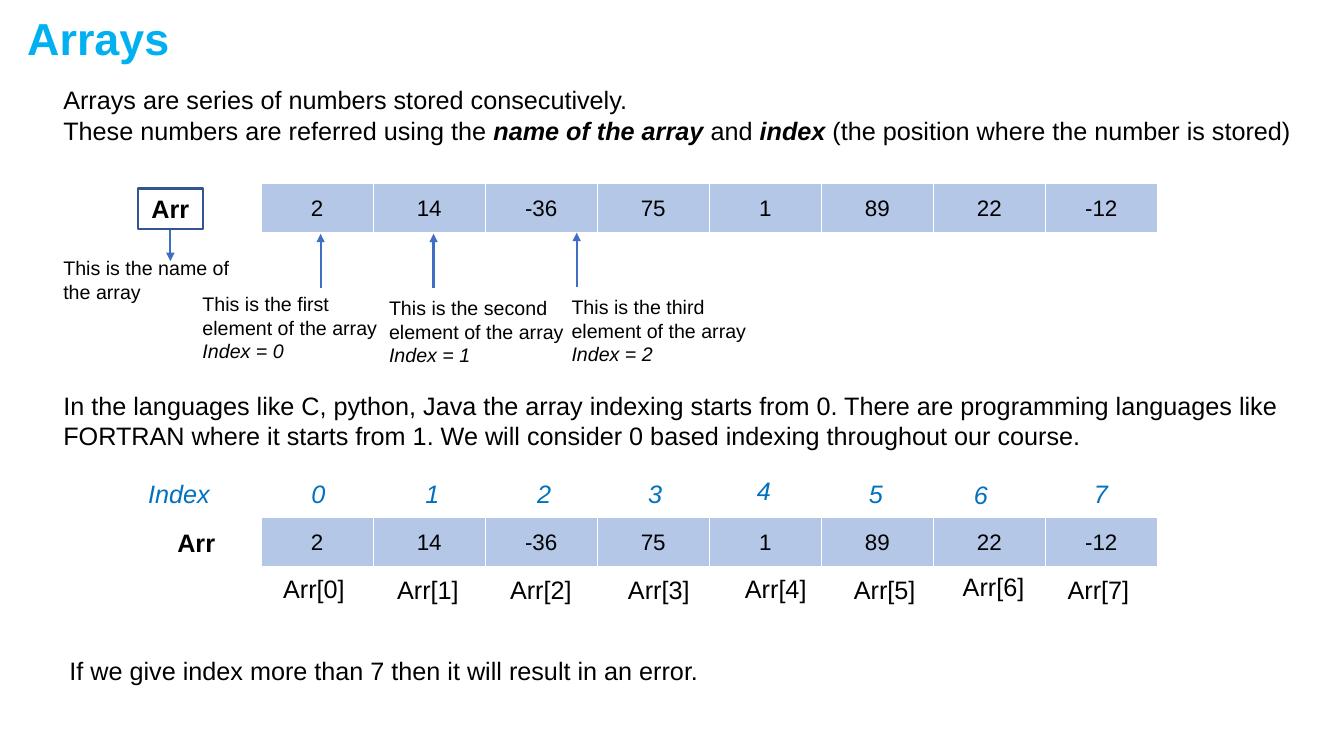
from dataclasses import dataclass

from lxml import etree
from pptx import Presentation
from pptx.dml.color import RGBColor
from pptx.enum.shapes import MSO_CONNECTOR, MSO_SHAPE
from pptx.enum.text import MSO_ANCHOR, PP_ALIGN
from pptx.oxml.ns import qn
from pptx.util import Inches, Pt

LEFT, CENTER = PP_ALIGN.LEFT, PP_ALIGN.CENTER
TOP, MIDDLE = MSO_ANCHOR.TOP, MSO_ANCHOR.MIDDLE
RECT, STRAIGHT = MSO_SHAPE.RECTANGLE, MSO_CONNECTOR.STRAIGHT
TITLE_ONLY = 5


@dataclass(frozen=True)
class Theme:
    font: str = "Arial"
    text: str = "000000"
    title: str = "00B0F0"
    index: str = "0070C0"
    cell: str = "B4C7E7"
    border: str = "FFFFFF"
    box: str = "325491"
    arrow: str = "3F6FC3"
    title_size: int = 32
    body_size: int = 18
    cell_size: int = 16
    note_size: int = 14
    line_width: float = 1.5


THEME = Theme()

# A paragraph is a list of (text, style) runs; style may hold "b" and "i".
TITLE = [[("Arrays", "b")]]
INTRO = [
    [("Arrays are series of numbers stored consecutively.", "")],
    [("These numbers are referred using the ", ""), ("name of the array ", "bi"),
     ("and ", ""), ("index ", "bi"),
     ("(the position where the number is stored)", "")],
]
INDEXING = [[("In the languages like C, python, Java the array indexing starts from 0. "
              "There are programming languages like FORTRAN where it starts from 1. "
              "We will consider 0 based indexing throughout our course.", "")]]
ERROR = [[("If we give index more than 7 then it will result in an error.", "")]]
NAME = [[("Arr", "b")]]
NAME_NOTE = [[("This is the name of the array", "")]]
INDEX_LABEL = [[("Index", "i")]]

VALUES = [2, 14, -36, 75, 1, 89, 22, -12]
TABLE_LEFT, TABLE_WIDTH, TABLE_HEIGHT = 2.59, 8.89, 0.5
TABLE_TOPS = [1.82, 5.13]

# (ordinal, note left, note top, arrow x, arrow start y)
ELEMENTS = [
    ("first", 1.91, 2.85, 3.18, 2.86),
    ("second", 3.76, 2.89, 4.30, 2.86),
    ("third", 5.57, 2.88, 5.72, 2.85),
]
ARROW_LENGTH = 0.54

# (left, top) of the labels above and below each cell
INDEX_SPOTS = [(2.99, 4.7), (4.12, 4.7), (5.23, 4.7), (6.33, 4.7),
               (7.41, 4.67), (8.52, 4.7), (9.56, 4.71), (10.75, 4.7)]
ACCESS_SPOTS = [(2.71, 5.64), (3.84, 5.65), (4.96, 5.65), (6.13, 5.65),
                (7.29, 5.64), (8.37, 5.65), (9.45, 5.62), (10.49, 5.65)]


def write(tf, paragraphs, size=THEME.body_size, color=THEME.text, align=LEFT, anchor=TOP):
    tf.word_wrap = True
    tf.vertical_anchor = anchor
    for n, runs in enumerate(paragraphs):
        p = tf.add_paragraph() if n else tf.paragraphs[0]
        p.alignment = align
        for text, style in runs:
            r = p.add_run()
            r.text = text
            r.font.name = THEME.font
            r.font.size = Pt(size)
            r.font.color.rgb = RGBColor.from_string(color)
            r.font.bold = "b" in style
            r.font.italic = "i" in style


def add_text(s, paragraphs, left, top, width, height=0.4, **fmt):
    sp = s.shapes.add_textbox(Inches(left), Inches(top), Inches(width), Inches(height))
    write(sp.text_frame, paragraphs, **fmt)


def add_arrow(s, x, y1, y2):
    c = s.shapes.add_connector(STRAIGHT, Inches(x), Inches(y1), Inches(x), Inches(y2))
    c.line.color.rgb = RGBColor.from_string(THEME.arrow)
    c.line.width = Pt(THEME.line_width)
    etree.SubElement(c.line._get_or_add_ln(), qn("a:tailEnd"), type="triangle")
    etree.SubElement(c._element.spPr, qn("a:effectLst"))


def add_borders(cell):
    tc_pr = cell._tc.get_or_add_tcPr()
    for side, width in (("L", 1), ("R", 1), ("T", 1), ("B", 3)):
        ln = etree.SubElement(tc_pr, qn(f"a:ln{side}"), w=str(Pt(width)))
        fill = etree.SubElement(ln, qn("a:solidFill"))
        etree.SubElement(fill, qn("a:srgbClr"), val=THEME.border)


def add_array(s, top):
    table = s.shapes.add_table(1, len(VALUES), Inches(TABLE_LEFT), Inches(top),
                               Inches(TABLE_WIDTH), Inches(TABLE_HEIGHT)).table
    table.first_row = table.horz_banding = False
    for cell, value in zip(table.iter_cells(), VALUES):
        add_borders(cell)
        cell.fill.solid()
        cell.fill.fore_color.rgb = RGBColor.from_string(THEME.cell)
        cell.vertical_anchor = MIDDLE
        write(cell.text_frame, [[(str(value), "")]], size=THEME.cell_size,
              align=CENTER, anchor=None)


def add_name_box(s):
    sp = s.shapes.add_shape(RECT, Inches(1.37), Inches(1.87), Inches(0.64), Inches(0.4))
    sp.shadow.inherit = False
    sp.fill.background()
    sp.line.color.rgb = RGBColor.from_string(THEME.box)
    sp.line.width = Pt(THEME.line_width)
    write(sp.text_frame, NAME, align=CENTER, anchor=MIDDLE)


def main():
    prs = Presentation()
    prs.slide_width, prs.slide_height = Inches(13.33), Inches(7.5)
    s = prs.slides.add_slide(prs.slide_layouts[TITLE_ONLY])

    title = s.shapes.title
    title.left, title.top = Inches(0.17), Inches(0.06)
    title.width, title.height = Inches(10.31), Inches(0.64)
    write(title.text_frame, TITLE, size=THEME.title_size, color=THEME.title)

    add_text(s, INTRO, 0.53, 0.79, 12.57, 0.71)
    for top in TABLE_TOPS:
        add_array(s, top)

    add_name_box(s)
    add_text(s, NAME_NOTE, 0.53, 2.49, 2.06, 0.57, size=THEME.note_size)
    add_arrow(s, 1.69, 2.28, 2.59)
    for n, (ordinal, left, top, x, y) in enumerate(ELEMENTS):
        note = [[(f"This is the {ordinal} element of the array", "")],
                [(f"Index = {n}", "i")]]
        add_text(s, note, left, top, 1.95, 0.81, size=THEME.note_size)
        add_arrow(s, x, y, y - ARROW_LENGTH)

    add_text(s, INDEXING, 0.53, 3.82, 12.39, 0.71)
    add_text(s, INDEX_LABEL, 1.37, 4.7, 0.82, color=THEME.index)
    add_text(s, NAME, 1.66, 5.18, 0.65)
    for n, (index_spot, access_spot) in enumerate(zip(INDEX_SPOTS, ACCESS_SPOTS)):
        add_text(s, [[(str(n), "i")]], *index_spot, 0.34, color=THEME.index)
        add_text(s, [[(f"Arr[{n}]", "")]], *access_spot, 0.91)
    add_text(s, ERROR, 0.59, 6.45, 11.91)

    prs.save("out.pptx")


if __name__ == "__main__":
    main()
